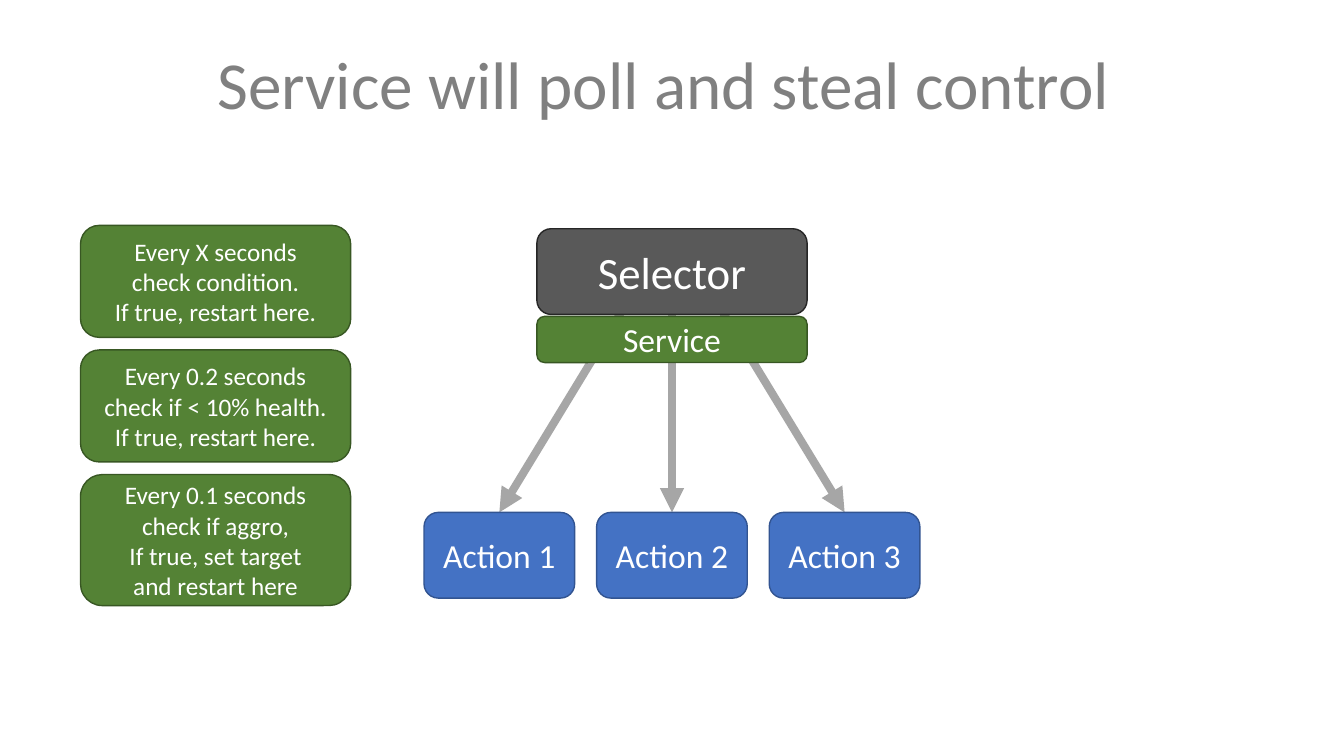
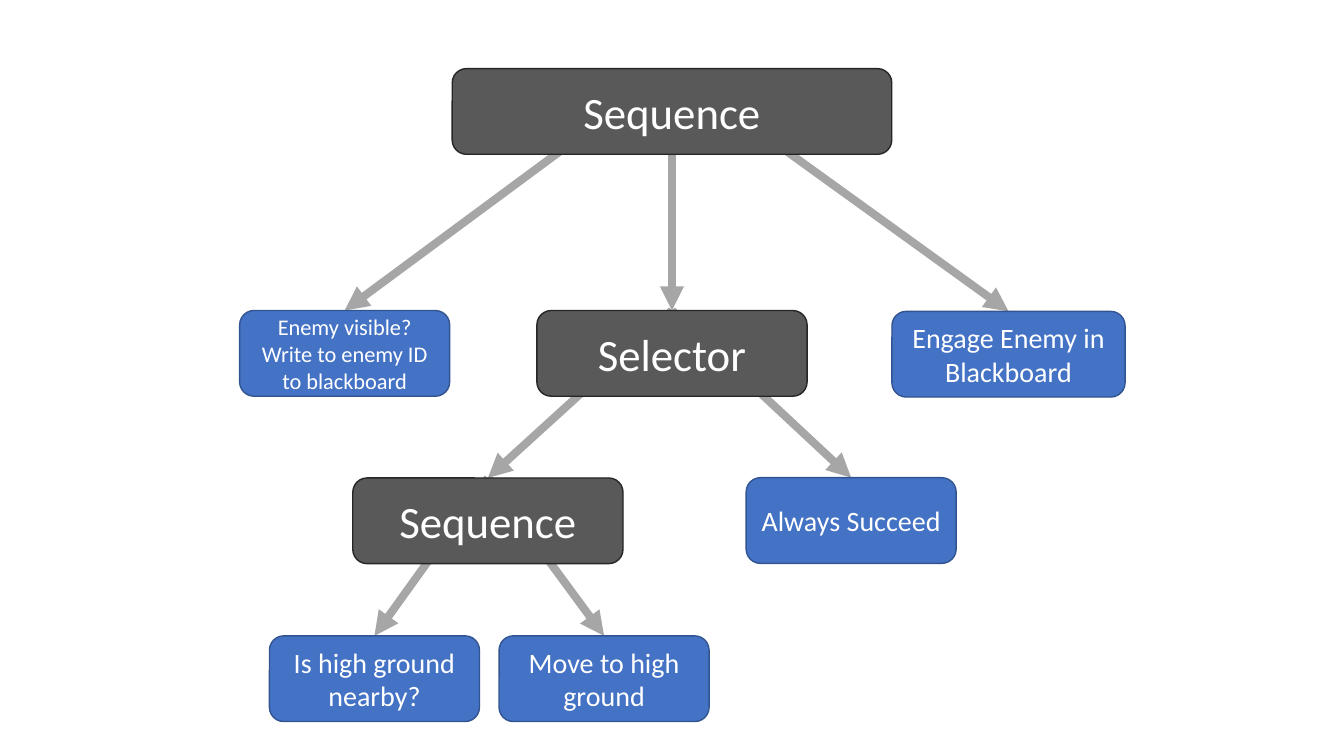
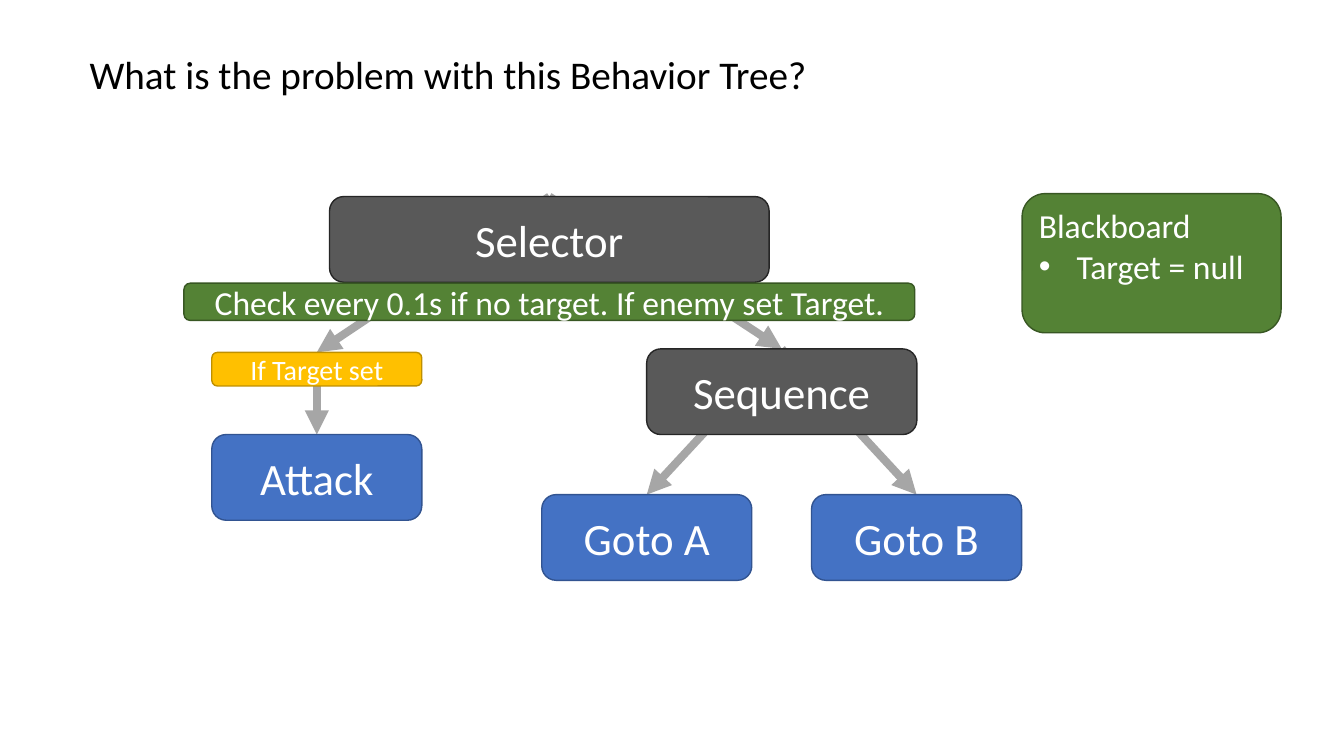
from dataclasses import dataclass

from lxml import etree
from pptx import Presentation
from pptx.dml.color import RGBColor
from pptx.enum import shapes, text
from pptx.oxml import ns
from pptx.util import Pt

# Shared look
FONT = "Calibri"
WHITE = RGBColor(0xFF, 0xFF, 0xFF)
BLACK = RGBColor(0, 0, 0)
TITLE_GRAY = RGBColor(0x80, 0x80, 0x80)
ARROW_GRAY = RGBColor(0xA6, 0xA6, 0xA6)
ROW = 61.2          # height of a tree node
COMPOSITE = 193     # width of a selector or sequence
ROOT = 314          # width of a wide root
LEAF = 150          # width of an action
TOP, BOTTOM = 0, 2  # connection sites


@dataclass(frozen=True)
class Style:
    fill: RGBColor
    line: RGBColor


CONTROL = Style(RGBColor(0x59, 0x59, 0x59), RGBColor(0x26, 0x26, 0x26))
ACTION = Style(RGBColor(0x44, 0x72, 0xC4), RGBColor(0x32, 0x54, 0x91))
SERVICE = Style(RGBColor(0x54, 0x82, 0x35), RGBColor(0x38, 0x57, 0x23))
DECORATOR = Style(RGBColor(0xFF, 0xC0, 0x00), RGBColor(0xBF, 0x90, 0x00))
COVER = Style(WHITE, WHITE)


@dataclass(frozen=True)
class Node:
    """A rounded box, placed by the middle of its top side."""
    label: str
    center: float
    top: float
    width: float = LEAF
    height: float = ROW
    style: Style = ACTION
    size: float = 32


def write(frame, content: str, *, size: float, color: RGBColor = WHITE,
          align=text.PP_ALIGN.CENTER, anchor=text.MSO_ANCHOR.MIDDLE,
          wrap: bool = True, bulleted: tuple[int, ...] = ()) -> None:
    """Fill a text frame, one paragraph for each line of content."""
    frame.word_wrap = wrap
    frame.vertical_anchor = anchor
    for index, line in enumerate(content.split("\n")):
        paragraph = frame.paragraphs[0] if index == 0 else frame.add_paragraph()
        paragraph.alignment = align
        if index in bulleted:
            props = paragraph._p.get_or_add_pPr()
            props.set("marL", str(Pt(27)))
            props.set("indent", str(-Pt(27)))
            etree.SubElement(props, ns.qn("a:buFont")).set("typeface", "Arial")
            etree.SubElement(props, ns.qn("a:buChar")).set("char", "•")
        run = paragraph.add_run()
        run.text = line
        run.font.name = FONT
        run.font.size = Pt(size)
        run.font.color.rgb = color


def add_heading(slide, content: str, left: float, top: float, width: float,
                height: float, **fmt) -> None:
    heading = slide.shapes.add_textbox(Pt(left), Pt(top), Pt(width), Pt(height))
    write(heading.text_frame, content, anchor=text.MSO_ANCHOR.TOP, **fmt)


def add_block(slide, kind, center: float, top: float, width: float,
              height: float, style: Style):
    block = slide.shapes.add_shape(kind, Pt(center - width / 2), Pt(top),
                                   Pt(width), Pt(height))
    block.shadow.inherit = False
    block.fill.solid()
    block.fill.fore_color.rgb = style.fill
    block.line.color.rgb = style.line
    block.line.width = Pt(1)
    return block


def add_node(slide, node: Node, **fmt):
    block = add_block(slide, shapes.MSO_SHAPE.ROUNDED_RECTANGLE, node.center,
                      node.top, node.width, node.height, node.style)
    write(block.text_frame, node.label, size=node.size, **fmt)
    return block


def add_arrow(slide, parent, child, site: int = TOP) -> None:
    """Join parent to the top of child, behind all the boxes."""
    arrow = slide.shapes.add_connector(shapes.MSO_CONNECTOR.STRAIGHT, 0, 0, 0, 0)
    arrow.begin_connect(parent, site)
    arrow.end_connect(child, TOP)
    arrow.line.color.rgb = ARROW_GRAY
    arrow.line.width = Pt(5.75)
    etree.SubElement(arrow.line._get_or_add_ln(), ns.qn("a:tailEnd")).set("type", "triangle")
    etree.SubElement(arrow._element.spPr, ns.qn("a:effectLst"))
    slide.shapes._spTree.insert(2, arrow._element)


def add_tree(slide, nodes: dict[str, Node],
             branches: list[tuple[str, str, int]]) -> None:
    blocks = {key: add_node(slide, node) for key, node in nodes.items()}
    for parent, child, site in branches:
        add_arrow(slide, blocks[parent], blocks[child], site)


def add_cover(slide, center: float, top: float) -> None:
    """Trim the arrow ends that stick out above a root."""
    add_block(slide, shapes.MSO_SHAPE.RECTANGLE, center, top, 112, 29, COVER)


def build_service(slide) -> None:
    add_heading(slide, "Service will poll and steal control", 0, 26.6, 948, 66,
                size=48, color=TITLE_GRAY)
    add_cover(slide, 480, 155)

    # Selector, its service and three actions
    nodes = {
        "selector": Node("Selector", 480, 163.4, COMPOSITE, style=CONTROL),
        "service": Node("Service", 480, 226, COMPOSITE, 33, SERVICE, 24),
    }
    for number in (1, 2, 3):
        nodes[f"action{number}"] = Node(f"Action {number}", 480 + 123.3 * (number - 2),
                                        366, 107.6, size=24)
    add_tree(slide, nodes, [("selector", "action1", TOP),
                            ("selector", "action2", BOTTOM),
                            ("selector", "action3", TOP)])

    # Examples of services
    top = 161.0
    for label, height in (
        ("Every X seconds\ncheck condition.\nIf true, restart here.", 80),
        ("Every 0.2 seconds\ncheck if < 10% health.\nIf true, restart here.", 80),
        ("Every 0.1 seconds\ncheck if aggro,\nIf true, set target\nand restart here", 93.6),
    ):
        add_node(slide, Node(label, 154, top, COMPOSITE, height, SERVICE, 18))
        top += height + 9


def build_high_ground(slide) -> None:
    add_cover(slide, 480, 43)
    add_tree(slide, {
        "root": Node("Sequence", 480, 49, ROOT, style=CONTROL),
        "visible": Node("Enemy visible?\nWrite to enemy ID to blackboard", 246.2, 221.8, size=16),
        "selector": Node("Selector", 480, 221.8, COMPOSITE, style=CONTROL),
        "engage": Node("Engage Enemy in Blackboard", 720.4, 222.4, 166.5, size=20),
        "sequence": Node("Sequence", 348.5, 341.4, COMPOSITE, style=CONTROL),
        "succeed": Node("Always Succeed", 608, 341.2, size=20),
        "nearby": Node("Is high ground nearby?", 267.5, 454.2, size=20),
        "move": Node("Move to high ground", 431.5, 454.2, size=20),
    }, [
        ("root", "visible", TOP), ("root", "selector", BOTTOM), ("root", "engage", TOP),
        ("selector", "sequence", TOP), ("selector", "succeed", TOP),
        ("sequence", "nearby", TOP), ("sequence", "move", TOP),
    ])


def build_problem(slide) -> None:
    add_heading(slide, "What is the problem with this Behavior Tree?", 56.9, 32.4,
                532, 41, size=28, color=BLACK, align=text.PP_ALIGN.LEFT, wrap=False)
    add_tree(slide, {
        "selector": Node("Selector", 392.4, 140.4, ROOT, style=CONTROL),
        "check": Node("Check every 0.1s if no target. If enemy set Target.",
                      392.4, 202.3, 522, 26.6, SERVICE, 24),
        "condition": Node("If Target set", 226.3, 251.7, height=24, style=DECORATOR, size=20),
        "attack": Node("Attack", 226.3, 310.4),
        "sequence": Node("Sequence", 558.4, 249.2, COMPOSITE, style=CONTROL),
        "goto_a": Node("Goto A", 462, 353.3),
        "goto_b": Node("Goto B", 654.7, 353.3),
    }, [
        ("selector", "condition", TOP), ("condition", "attack", BOTTOM),
        ("selector", "sequence", TOP),
        ("sequence", "goto_a", TOP), ("sequence", "goto_b", TOP),
    ])

    # Shared memory of the tree
    add_node(slide, Node("Blackboard\nTarget = null", 822.6, 138.3, 185, 99.4, SERVICE, 24),
             align=text.PP_ALIGN.LEFT, anchor=text.MSO_ANCHOR.TOP, bulleted=(1,))


def main() -> None:
    deck = Presentation()
    deck.slide_width, deck.slide_height = Pt(960), Pt(540)
    for build in (build_service, build_high_ground, build_problem):
        build(deck.slides.add_slide(deck.slide_layouts[6]))
    deck.save("out.pptx")


if __name__ == "__main__":
    main()
